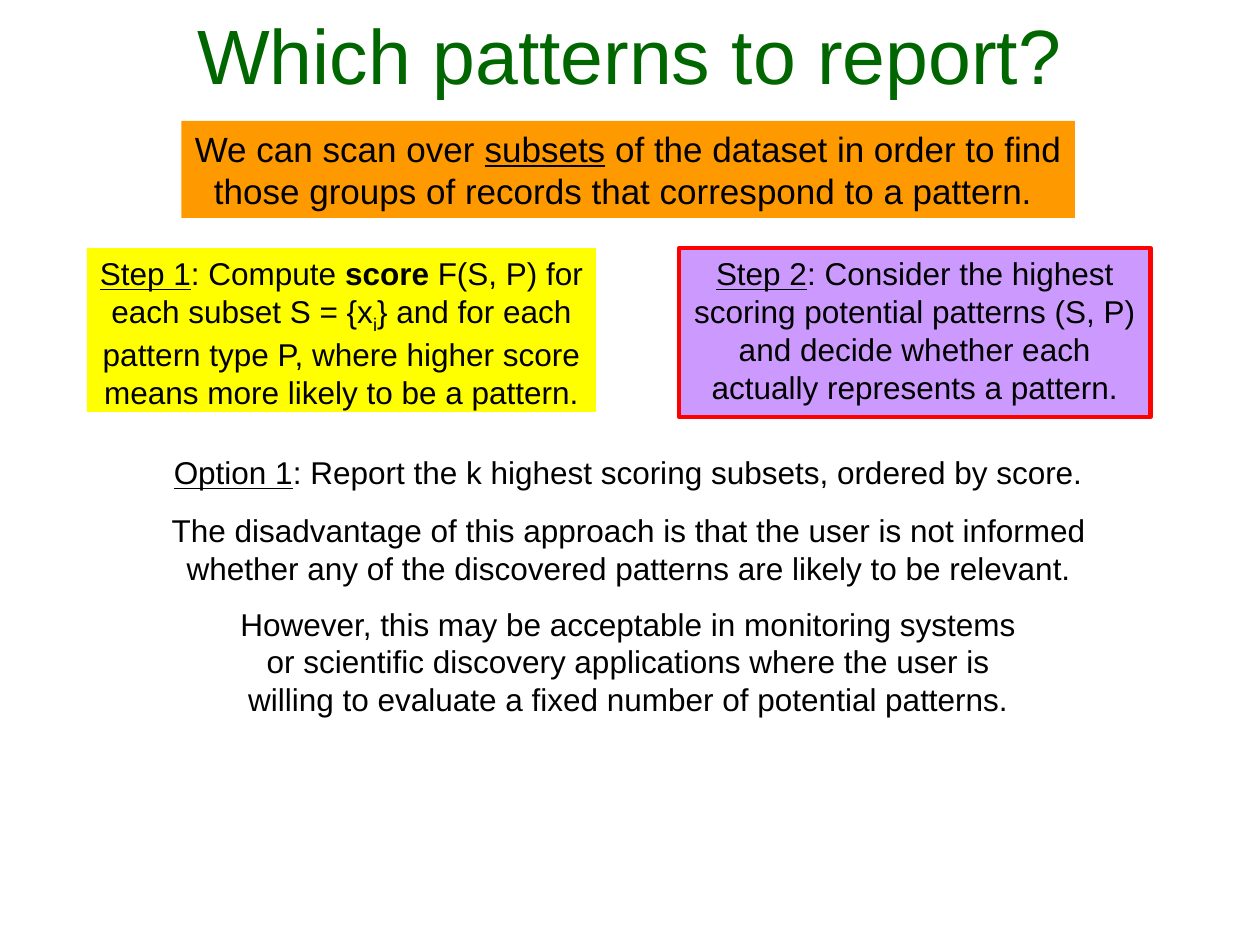
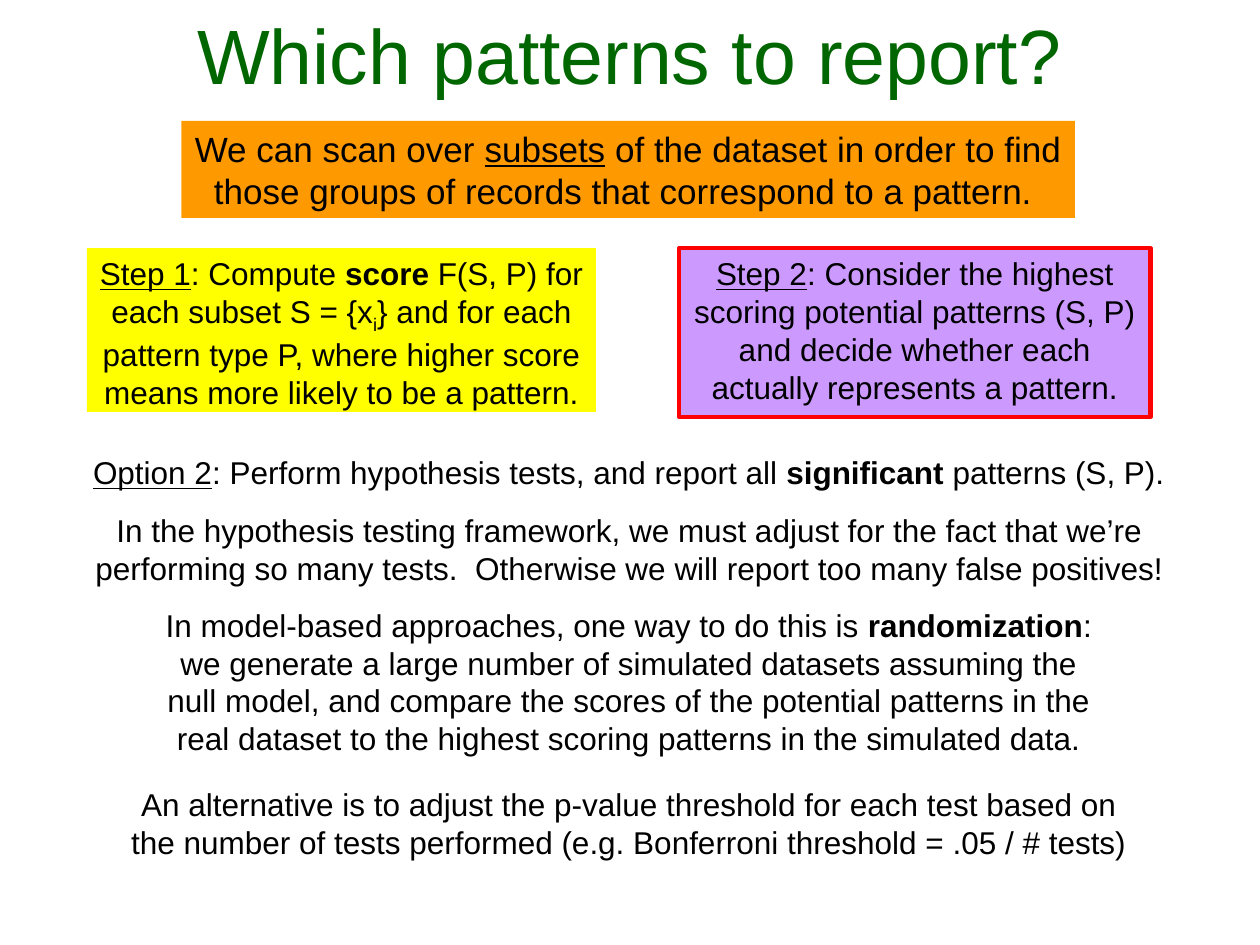
from dataclasses import dataclass
from enum import Enum

from pptx import Presentation
from pptx.dml.color import RGBColor
from pptx.enum.shapes import MSO_SHAPE
from pptx.enum.text import MSO_ANCHOR, MSO_AUTO_SIZE, PP_ALIGN
from pptx.slide import Slide
from pptx.text.text import TextFrame
from pptx.util import Inches, Pt

FONT = "Arial"
BLACK, GREEN, ORANGE = "000000", "006600", "FF9900"
YELLOW, PURPLE, RED = "FFFF00", "CC99FF", "FF0000"
TITLE = "Which patterns to report?"


class Style(Enum):
    PLAIN = "plain"
    UNDERLINE = "underline"
    BOLD = "bold"
    SUBSCRIPT = "subscript"


Piece = tuple[str, Style]


@dataclass(frozen=True)
class Box:
    left: float
    top: float
    width: float
    height: float
    pieces: tuple[Piece, ...]
    size: int = 18
    fill: str = ""
    line: str = ""
    wrap: bool = True


def plain(text: str) -> Piece:
    return text, Style.PLAIN


def underline(text: str) -> Piece:
    return text, Style.UNDERLINE


def bold(text: str) -> Piece:
    return text, Style.BOLD


def subscript(text: str) -> Piece:
    return text, Style.SUBSCRIPT


SHARED_BOXES = (
    Box(1.44, 0.96, 7.09, 0.77, (
        plain("We can scan over "),
        underline("subsets"),
        plain(" of the dataset in order to find those groups of records "
              "that correspond to a pattern. "),
    ), size=20, fill=ORANGE),
    Box(0.69, 1.97, 4.04, 1.3, (
        underline("Step 1"),
        plain(": Compute "),
        bold("score"),
        plain(" F(S, P) for each subset S = {x"),
        subscript("i"),
        plain("} and for each pattern type P, where higher score means "
              "more likely to be a pattern."),
    ), fill=YELLOW),
    Box(5.39, 1.97, 3.74, 1.34, (
        underline("Step 2"),
        plain(": Consider the highest scoring potential patterns (S, P) and "
              "decide whether each actually represents a pattern."),
    ), fill=PURPLE, line=RED),
)

OPTION_1 = (
    Box(1.28, 3.55, 7.41, 0.4, (
        underline("Option 1"),
        plain(": Report the k highest scoring subsets, ordered by score."),
    ), wrap=False),
    Box(1.21, 4.01, 7.56, 0.7, (
        plain("The disadvantage of this approach is that the user is not informed "
              "whether any of the discovered patterns are likely to be relevant."),
    )),
    Box(1.69, 4.75, 6.59, 1, (
        plain("However, this may be acceptable in monitoring systems or scientific "
              "discovery applications where the user is willing to evaluate a "
              "fixed number of potential patterns."),
    )),
)

OPTION_2 = (
    Box(0.64, 3.55, 8.7, 0.4, (
        underline("Option 2"),
        plain(": Perform hypothesis tests, and report all "),
        bold("significant"),
        plain(" patterns (S, P)."),
    ), wrap=False),
    Box(0.65, 4.01, 8.69, 0.7, (
        plain("In the hypothesis testing framework, we must adjust for the fact that "
              "we’re performing so many tests.  Otherwise we will report too many "
              "false positives!"),
    )),
    Box(1.11, 4.76, 7.76, 1.3, (
        plain("In model-based approaches, one way to do this is "),
        bold("randomization"),
        plain(": we generate a large number of simulated datasets assuming the null "
              "model, and compare the scores of the potential patterns in the real "
              "dataset to the highest scoring patterns in the simulated data."),
    )),
    Box(0.9, 6.18, 8.18, 0.7, (
        plain("An alternative is to adjust the p-value threshold for each test based "
              "on the number of tests performed (e.g. Bonferroni threshold = .05 / "
              "# tests)"),
    )),
)


def color(value: str) -> RGBColor:
    return RGBColor.from_string(value)


def write_pieces(text_frame: TextFrame, pieces: tuple[Piece, ...],
                 size: int, text_color: str) -> None:
    """Write one centred paragraph with a run for each piece."""
    paragraph = text_frame.paragraphs[0]
    paragraph.alignment = PP_ALIGN.CENTER
    for text, style in pieces:
        run = paragraph.add_run()
        run.text = text
        font = run.font
        font.name, font.size = FONT, Pt(size)
        font.color.rgb = color(text_color)
        if style is Style.UNDERLINE:
            font.underline = True
        elif style is Style.BOLD:
            font.bold = True
        elif style is Style.SUBSCRIPT:
            run._r.get_or_add_rPr().set("baseline", "-25000")


def add_title(slide: Slide) -> None:
    title = slide.shapes.title
    title.left, title.top = Inches(0.5), Inches(0.08)
    title.width, title.height = Inches(9), Inches(0.76)
    text_frame = title.text_frame
    text_frame.vertical_anchor = MSO_ANCHOR.BOTTOM
    text_frame.auto_size = MSO_AUTO_SIZE.NONE
    write_pieces(text_frame, (plain(TITLE),), 44, GREEN)


def add_box(slide: Slide, box: Box) -> None:
    """Add a filled rectangle, or a text box when the box has no fill."""
    place = [Inches(value) for value in (box.left, box.top, box.width, box.height)]
    if box.fill:
        shape = slide.shapes.add_shape(MSO_SHAPE.RECTANGLE, *place)
        shape.shadow.inherit = False
        shape.fill.solid()
        shape.fill.fore_color.rgb = color(box.fill)
        if box.line:
            shape.line.color.rgb = color(box.line)
            shape.line.width = Pt(2.5)
        else:
            shape.line.fill.background()
    else:
        shape = slide.shapes.add_textbox(*place)
    text_frame = shape.text_frame
    text_frame.word_wrap = box.wrap
    text_frame.auto_size = MSO_AUTO_SIZE.SHAPE_TO_FIT_TEXT
    text_frame.vertical_anchor = MSO_ANCHOR.TOP
    write_pieces(text_frame, box.pieces, box.size, BLACK)


def main() -> None:
    presentation = Presentation()
    presentation.slide_width, presentation.slide_height = Inches(10), Inches(7.5)
    title_only = presentation.slide_layouts.get_by_name("Title Only")
    for option_boxes in (OPTION_1, OPTION_2):
        slide = presentation.slides.add_slide(title_only)
        add_title(slide)
        for box in SHARED_BOXES + option_boxes:
            add_box(slide, box)
    presentation.save("out.pptx")


if __name__ == "__main__":
    main()
